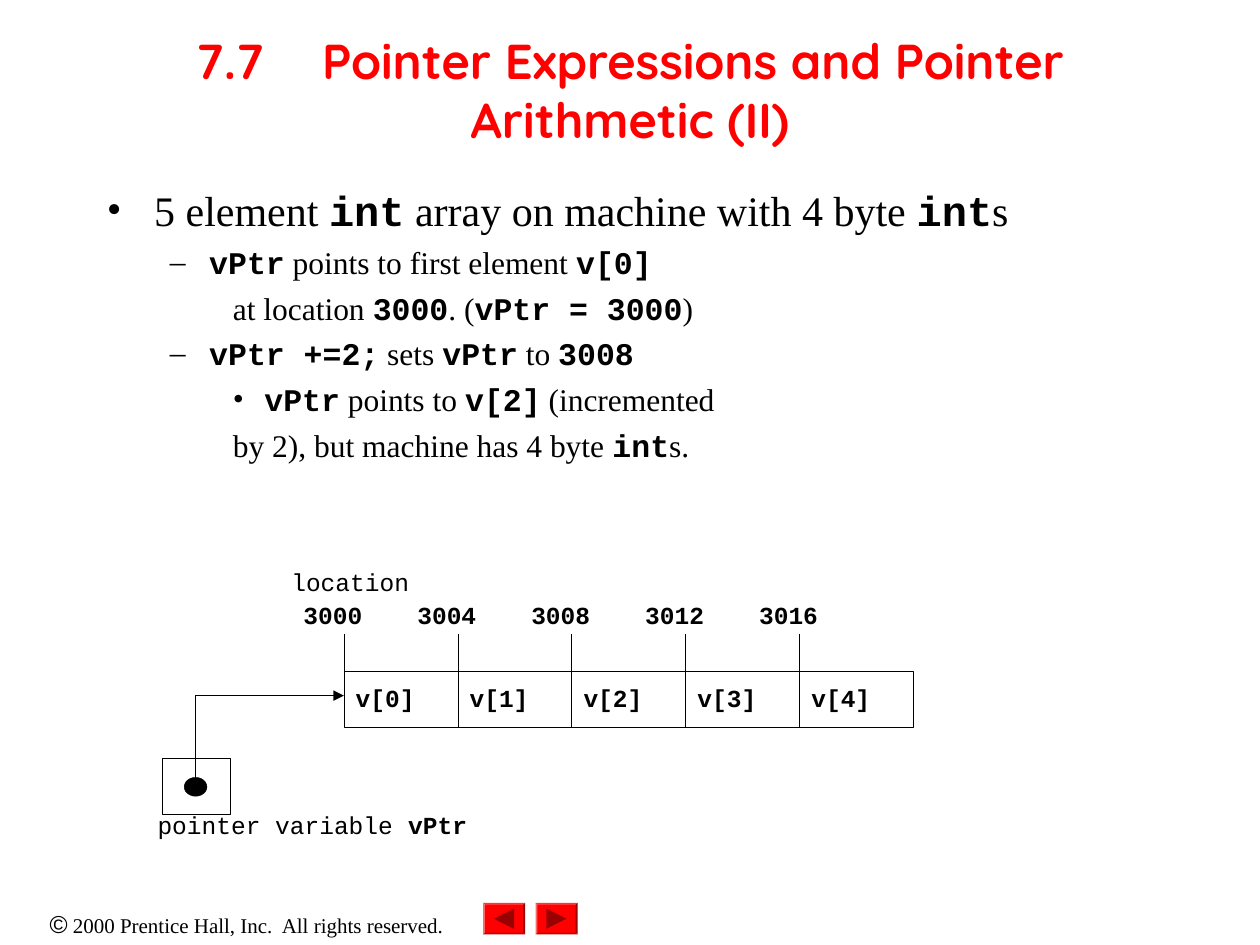
from lxml import etree
from pptx import Presentation
from pptx import util as u
from pptx.dml.color import RGBColor
from pptx.enum import shapes, text
from pptx.oxml import ns

Pt = u.Pt
BLACK, RED, DARK_RED = "000000", "FF0000", "990000"
SERIF, MONO = "Times New Roman", "Courier New"
HAIRLINE = 0.25


def color(hex_code):
    return RGBColor.from_string(hex_code)


def add_xml(parent, tag, **attributes):
    return etree.SubElement(parent, ns.qn(tag), attributes)


def set_font(font, size, name, hex_code=BLACK, bold=False):
    font.size = Pt(size)
    font.name = name
    font.bold = bold
    font.color.rgb = color(hex_code)


def set_frame(frame, insets, anchor=text.MSO_ANCHOR.TOP):
    """Insets are (horizontal, vertical)."""
    frame.word_wrap = True
    frame.vertical_anchor = anchor
    frame.margin_left = frame.margin_right = Pt(insets[0])
    frame.margin_top = frame.margin_bottom = Pt(insets[1])


def add_textbox(slide, box, insets=(0, 0), anchor=text.MSO_ANCHOR.TOP):
    frame = slide.shapes.add_textbox(*map(Pt, box)).text_frame
    set_frame(frame, insets, anchor)
    return frame


def add_label(slide, box, wording, bold=False):
    label = add_textbox(slide, box).paragraphs[0]
    label.text = wording
    set_font(label.font, 14, MONO, bold=bold)
    return label


def add_shape(slide, kind, box, fill=None, line=BLACK):
    shape = slide.shapes.add_shape(kind, *map(Pt, box))
    shape.shadow.inherit = False
    if fill:
        shape.fill.solid()
        shape.fill.fore_color.rgb = color(fill)
    else:
        shape.fill.background()
    if line:
        shape.line.color.rgb = color(line)
        shape.line.width = Pt(HAIRLINE)
    else:
        shape.line.fill.background()
    return shape


def add_tick(slide, x, top, bottom):
    tick = slide.shapes.add_connector(
        shapes.MSO_CONNECTOR.STRAIGHT, Pt(x), Pt(top), Pt(x), Pt(bottom))
    tick.line.color.rgb = color(BLACK)
    tick.line.width = Pt(HAIRLINE)
    add_xml(tick._element.spPr, "a:effectLst")


def add_bent_arrow(slide, points):
    """Open path with the arrowhead at its first point."""
    start, *rest = [(Pt(x), Pt(y)) for x, y in points]
    builder = slide.shapes.build_freeform(*start)
    builder.add_line_segments(rest, close=False)
    arrow = builder.convert_to_shape()
    arrow.shadow.inherit = False
    arrow.fill.background()
    arrow.line.color.rgb = color(BLACK)
    arrow.line.width = Pt(HAIRLINE)
    add_xml(arrow.line._get_or_add_ln(), "a:headEnd", type="triangle")


def add_title(slide):
    frame = add_textbox(slide, (54, 6, 612, 90), (7.2, 3.6),
                        text.MSO_ANCHOR.MIDDLE)
    title = frame.paragraphs[0]
    title.text = "7.7\tPointer Expressions and Pointer Arithmetic (II)"
    title.alignment = text.PP_ALIGN.CENTER
    tabs = add_xml(title._p.get_or_add_pPr(), "a:tabLst")
    for inch in range(1, 8):
        add_xml(tabs, "a:tab", pos=str(u.Inches(inch)), algn="l")
    set_font(title.font, 28, "Quicksand", RED, bold=True)


def add_bullets(slide):
    # Level: left margin, hanging indent, size, space before
    levels = [(27, 27, 24, 6), (58.5, 22.5, 18, 4.5), (90, 18, 18, 4.5)]
    # Backquotes enclose code
    items = [
        (0, "•", "5 element `int` array on machine with 4 byte `int`s"),
        (1, "–", "`vPtr` points to first element `v[0]`"),
        (2, None, "at location `3000`. (`vPtr = 3000`)"),
        (1, "–", "`vPtr +=2;` sets `vPtr` to `3008`"),
        (2, "•", "`vPtr` points to `v[2]` (incremented"),
        (2, None, "by 2), but machine has 4 byte `int`s."),
    ]
    frame = add_textbox(slide, (54, 102, 612, 408), (7.2, 3.6))
    for number, (level, bullet, wording) in enumerate(items):
        item = frame.add_paragraph() if number else frame.paragraphs[0]
        margin, hanging, size, before = levels[level]
        item.level = level
        if number:
            item.space_before = Pt(before)
        properties = item._p.get_or_add_pPr()
        properties.set("marL", str(Pt(margin)))
        properties.set("indent", str(-Pt(hanging)))
        if bullet:
            bullet_color = add_xml(properties, "a:buClr")
            add_xml(bullet_color, "a:srgbClr", val=BLACK)
            add_xml(properties, "a:buFont", typeface=SERIF)
            add_xml(properties, "a:buChar", char=bullet)
        else:
            add_xml(properties, "a:buNone")
        for part, words in enumerate(wording.split("`")):
            if words:
                run = item.add_run()
                run.text = words
                is_code = part % 2 == 1
                set_font(run.font, size, MONO if is_code else SERIF,
                         bold=is_code)


def add_array(slide):
    left, top, width, height = 196.5, 383.75, 65.1, 31.75
    add_label(slide, (166.5, 324, 88, 21), "location")
    for index in range(5):
        x = left + index * width
        cell = add_shape(slide, shapes.MSO_SHAPE.RECTANGLE,
                         (x, top, width, height))
        set_frame(cell.text_frame, (6.75, 6.75))
        element = cell.text_frame.paragraphs[0]
        element.text = f"v[{index}]"
        element.alignment = text.PP_ALIGN.LEFT
        set_font(element.font, 14, MONO, bold=True)
        add_tick(slide, x, 362.5, top)
        add_label(slide, (x - 23.1, 342.75, 51, 23), str(3000 + 4 * index),
                  bold=True)


def add_pointer(slide):
    caption = add_label(slide, (90, 463, 228, 23), "pointer variable ")
    variable = caption.add_run()
    variable.text = "vPtr"
    variable.font.bold = True
    add_shape(slide, shapes.MSO_SHAPE.RECTANGLE, (92.5, 433.5, 39, 31.75))
    add_shape(slide, shapes.MSO_SHAPE.OVAL, (105.25, 444.25, 13, 10.75),
              fill=BLACK)
    add_bent_arrow(slide, [(196.5, 397.5), (111.5, 397.5), (111.5, 445)])


def add_button(slide, x, rotation):
    button = add_shape(slide, shapes.MSO_SHAPE.BEVEL, (x, 516, 24, 18),
                       fill=RED, line=None)
    button.adjustments[0] = 0.06
    # A triangle turned sideways keeps its box centred on the button
    arrow = add_shape(slide, shapes.MSO_SHAPE.ISOSCELES_TRIANGLE,
                      (x + 6.25, 519.25, 11.5, 11.5), fill=DARK_RED, line=None)
    arrow.rotation = rotation


def add_footer(slide):
    notice = add_textbox(slide, (0, 516, 282, 24.5), (7.2, 3.6)).paragraphs[0]
    notice.alignment = text.PP_ALIGN.CENTER
    for words, size, font in (
            ("©", 14, "Arial"),
            (" 2000 Prentice Hall, Inc.  All rights reserved.", 12, SERIF)):
        run = notice.add_run()
        run.text = words
        set_font(run.font, size, font)
    add_button(slide, 276, rotation=270)
    add_button(slide, 306, rotation=90)


def main():
    deck = Presentation()
    deck.slide_width, deck.slide_height = Pt(720), Pt(540)
    slide = deck.slides.add_slide(deck.slide_layouts[6])
    add_footer(slide)
    add_title(slide)
    add_bullets(slide)
    add_array(slide)
    add_pointer(slide)
    deck.save("out.pptx")


if __name__ == "__main__":
    main()
